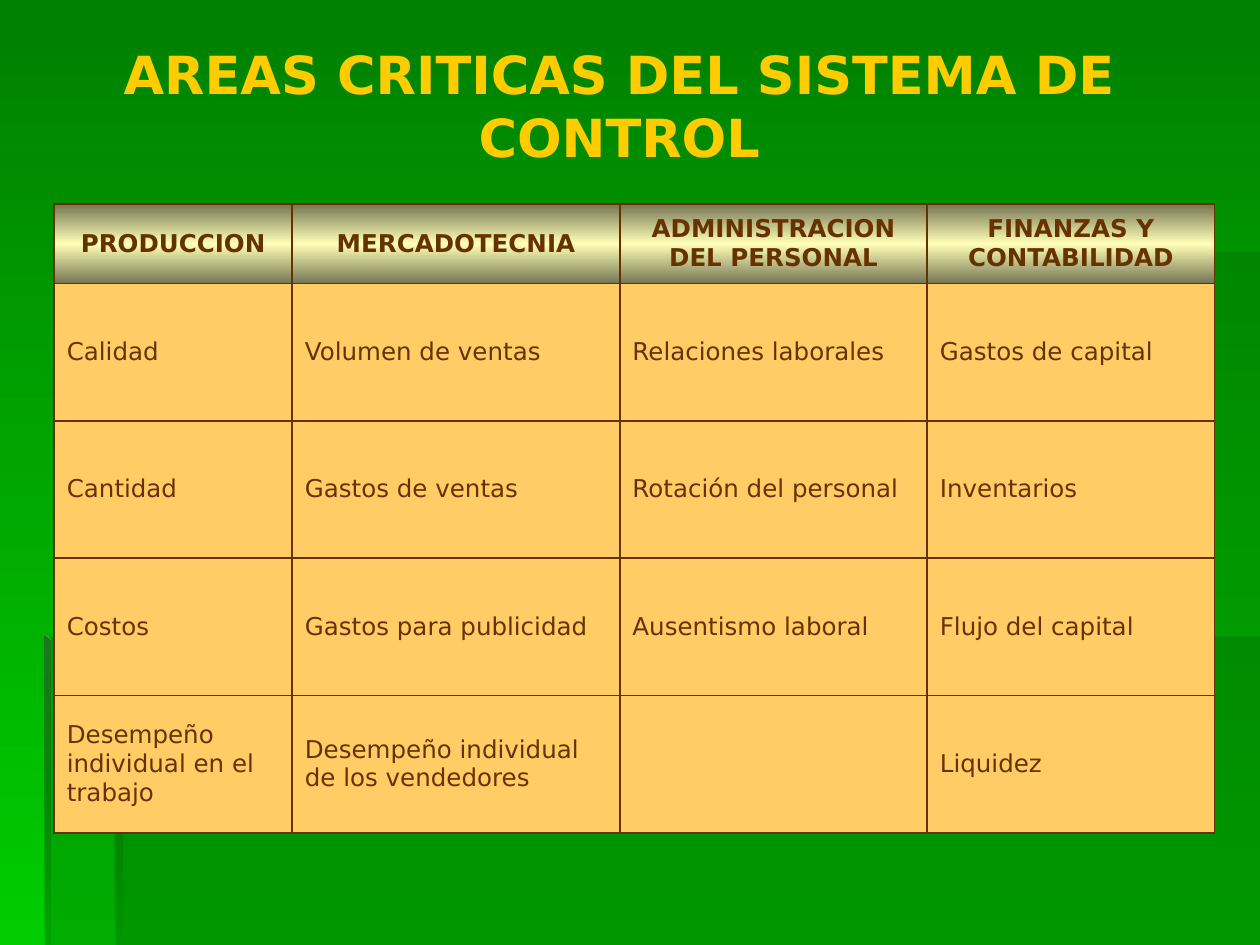
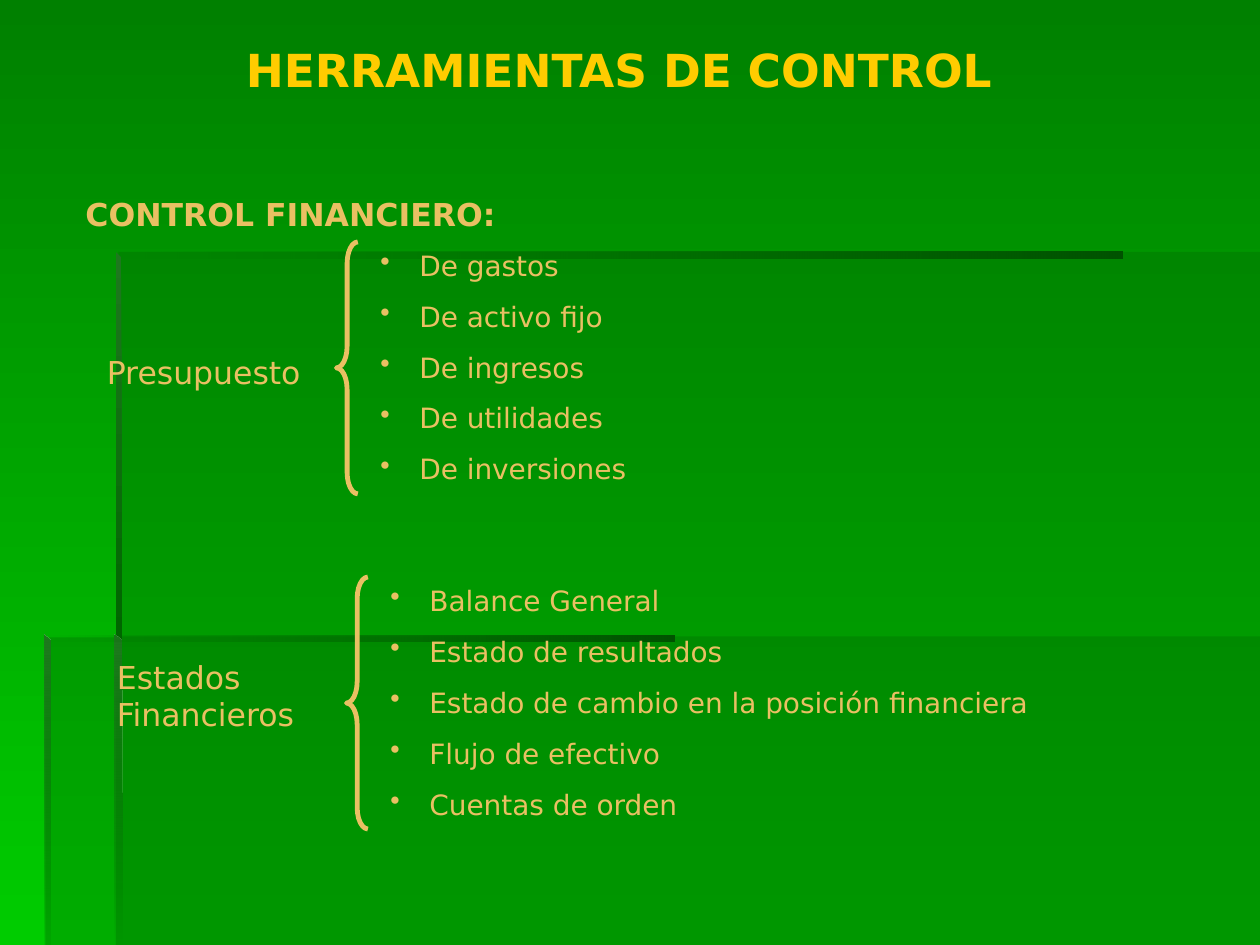
from lxml.etree import SubElement
from pptx import Presentation
from pptx.dml.color import RGBColor
from pptx.enum.shapes import MSO_SHAPE
from pptx.enum.text import MSO_ANCHOR, MSO_AUTO_SIZE, PP_ALIGN
from pptx.oxml.ns import qn
from pptx.util import Inches, Pt

FONT = "DejaVu Sans"
GREEN_TOP = RGBColor(0x00, 0x80, 0x00)
GREEN_BOTTOM = RGBColor(0x00, 0xCC, 0x00)
PANEL_GREEN = RGBColor(0x00, 0x66, 0x00)
SHADE_GREEN = RGBColor(0x00, 0x53, 0x00)
EDGE_GREEN = RGBColor(0x1E, 0x78, 0x1E)
TITLE_YELLOW = RGBColor(0xFF, 0xCC, 0x00)
SAND = RGBColor(0xE9, 0xC0, 0x63)
BROWN = RGBColor(0x66, 0x33, 0x00)
CELL_ORANGE = RGBColor(0xFF, 0xCC, 0x66)
HEADER_OLIVE = RGBColor(0x75, 0x75, 0x54)
HEADER_CREAM = RGBColor(0xFF, 0xFF, 0xB7)

# Backdrop outlines in inches
PANELS = [
    [(0.92, 5.05), (0.92, 7.5), (10, 7.5), (10, 5.05)],
    [(0.94, 5.06), (0.36, 5.06), (0.36, 7.5), (10, 7.5), (10, 2), (0.94, 2)],
]
# Each edge: outline, first colour, opacity of the last stop, angle
EDGES = [
    ([(0.92, 2), (0.92, 2.05), (8.91, 2.05), (8.91, 2)], SHADE_GREEN, 0, 180),
    ([(0.92, 2), (0.92, 5.1), (0.97, 5.1), (0.96, 2.04)], EDGE_GREEN, 100, 90),
    ([(0.91, 7.5), (0.97, 7.5), (0.96, 5.08), (0.91, 5.04)], EDGE_GREEN, 0, 90),
    ([(0.35, 5.04), (0.35, 5.09), (5.35, 5.09), (5.35, 5.04)], SHADE_GREEN, 0, 180),
    ([(0.35, 5.04), (0.35, 7.5), (0.4, 7.5), (0.4, 5.09)], EDGE_GREEN, 10, 90),
]

CRITICAL_AREAS = [
    ["PRODUCCION", "MERCADOTECNIA", "ADMINISTRACION DEL PERSONAL",
     "FINANZAS Y CONTABILIDAD"],
    ["Calidad", "Volumen de ventas", "Relaciones laborales", "Gastos de capital"],
    ["Cantidad", "Gastos de ventas", "Rotación del personal", "Inventarios"],
    ["Costos", "Gastos para publicidad", "Ausentismo laboral", "Flujo del capital"],
    ["Desempeño individual en el trabajo", "Desempeño individual de los vendedores",
     "", "Liquidez"],
]
AREA_WIDTHS = [1.89, 2.6, 2.44, 2.28]
HEADER_HEIGHT, ROW_HEIGHT = 0.63, 1.09

BUDGETS = ["De gastos", "De activo fijo", "De ingresos", "De utilidades",
           "De inversiones"]
STATEMENTS = ["Balance General", "Estado de resultados",
              "Estado de cambio en la posición financiera", "Flujo de efectivo",
              "Cuentas de orden"]


# Fills and text
def add_color(parent, color, opacity=100):
    srgb = SubElement(parent, qn("a:srgbClr"), val=str(color))
    if opacity < 100:
        SubElement(srgb, qn("a:alpha"), val=str(opacity * 1000))


def fill_gradient(fill, properties, stops, angle=90):
    """Fill with (position, colour, opacity) stops; the angle runs clockwise."""
    fill.background()
    gradient = properties.find(qn("a:noFill"))
    gradient.tag = qn("a:gradFill")
    stop_list = SubElement(gradient, qn("a:gsLst"))
    for position, color, opacity in stops:
        stop = SubElement(stop_list, qn("a:gs"), pos=str(position * 1000))
        add_color(stop, color, opacity)
    SubElement(gradient, qn("a:lin"), ang=str(angle * 60000), scaled="0")


def write(paragraph, text, size, color, bold=False, align=PP_ALIGN.LEFT, before=0):
    paragraph.alignment = align
    paragraph.space_before = Pt(before)
    run = paragraph.add_run()
    run.text = text
    run.font.name = FONT
    run.font.size = Pt(size)
    run.font.bold = bold
    run.font.color.rgb = color


def add_bullet(paragraph):
    properties = paragraph._p.get_or_add_pPr()
    properties.set("marL", str(Inches(0.31)))
    properties.set("indent", str(-Inches(0.31)))
    add_color(SubElement(properties, qn("a:buClr")), SAND)
    SubElement(properties, qn("a:buChar"), char="•")


def add_text(slide, box, lines, size, bold=False, bulleted=False):
    frame = slide.shapes.add_textbox(*map(Inches, box)).text_frame
    frame.word_wrap = True
    frame.auto_size = MSO_AUTO_SIZE.SHAPE_TO_FIT_TEXT
    for index, line in enumerate(lines):
        paragraph = frame.add_paragraph() if index else frame.paragraphs[0]
        write(paragraph, line, size, SAND, bold, before=size * 0.62)
        if bulleted:
            add_bullet(paragraph)


# Shared backdrop
def add_outline(slide, points):
    start, *others = [(Inches(x), Inches(y)) for x, y in points]
    builder = slide.shapes.build_freeform(*start)
    builder.add_line_segments(others, close=True)
    outline = builder.convert_to_shape()
    outline.shadow.inherit = False
    outline.line.fill.background()
    return outline


def build_backdrop(master, layout, slide):
    """Draw the backdrop on a slide, then hand it to the layout all slides use."""
    fill_gradient(master.background.fill, master.element.find(".//" + qn("p:bgPr")),
                  [(0, GREEN_TOP, 100), (100, GREEN_BOTTOM, 100)])
    pieces = []
    for points in PANELS:
        panel = add_outline(slide, points)
        panel.fill.solid()
        panel.fill.fore_color.rgb = PANEL_GREEN
        tint = panel.element.spPr.find(qn("a:solidFill"))[0]
        SubElement(tint, qn("a:alpha"), val="30000")
        pieces.append(panel)
    for points, color, opacity, angle in EDGES:
        edge = add_outline(slide, points)
        fill_gradient(edge.fill, edge.element.spPr,
                      [(0, color, 100), (100, PANEL_GREEN, opacity)], angle)
        pieces.append(edge)
    for number, piece in enumerate(pieces, start=101):
        piece.element.nvSpPr.cNvPr.set("id", str(number))
        layout.shapes.element.append(piece.element)


def set_title(slide, text, size, height):
    title = slide.shapes.title
    title.left, title.top = Inches(0.27), Inches(0.28)
    title.width, title.height = Inches(9.29), Inches(height)
    frame = title.text_frame
    frame.word_wrap = True
    frame.vertical_anchor = MSO_ANCHOR.TOP
    frame.auto_size = MSO_AUTO_SIZE.SHAPE_TO_FIT_TEXT
    write(frame.paragraphs[0], text, size, TITLE_YELLOW, True, PP_ALIGN.CENTER,
          size * 0.62)


# Table of critical areas
def format_cell(cell, text, is_header):
    cell.vertical_anchor = MSO_ANCHOR.MIDDLE
    properties = cell._tc.get_or_add_tcPr()
    for side in ("lnL", "lnR", "lnT", "lnB"):
        border = SubElement(properties, qn("a:" + side), w=str(Pt(1.08)))
        add_color(SubElement(border, qn("a:solidFill")), BROWN)
    if is_header:
        fill_gradient(cell.fill, properties,
                      [(0, HEADER_OLIVE, 100), (50, HEADER_CREAM, 100),
                       (100, HEADER_OLIVE, 100)])
    else:
        cell.fill.solid()
        cell.fill.fore_color.rgb = CELL_ORANGE
    if text:
        align = PP_ALIGN.CENTER if is_header else PP_ALIGN.LEFT
        write(cell.text_frame.paragraphs[0], text, 14, BROWN, is_header, align, 3.5)


def add_areas_table(slide, left, top):
    heights = [HEADER_HEIGHT] + [ROW_HEIGHT] * (len(CRITICAL_AREAS) - 1)
    areas = slide.shapes.add_table(
        len(heights), len(AREA_WIDTHS), Inches(left), Inches(top),
        Inches(sum(AREA_WIDTHS)), Inches(sum(heights))).table
    areas.horz_banding = False
    for column, width in zip(areas.columns, AREA_WIDTHS):
        column.width = Inches(width)
    for index, (row, height) in enumerate(zip(areas.rows, heights)):
        row.height = Inches(height)
        for cell, text in zip(row.cells, CRITICAL_AREAS[index]):
            format_cell(cell, text, index == 0)


# Braced group: label, brace and its bulleted items
def add_braced_group(slide, left, top, label, label_offset, label_height, items):
    add_text(slide, (left, top + label_offset, 1.83, label_height), [label], 18)
    brace = slide.shapes.add_shape(MSO_SHAPE.LEFT_BRACE, Inches(left + 1.92),
                                   Inches(top), Inches(0.17), Inches(2))
    brace.adjustments[0] = 1
    brace.adjustments[1] = 0.5
    brace.shadow.inherit = False
    brace.fill.background()
    brace.line.color.rgb = SAND
    brace.line.width = Pt(2.75)
    add_text(slide, (left + 2.17, top, 6.67, 1.99), items, 16, bulleted=True)


def build_areas_slide(slide):
    set_title(slide, "AREAS CRITICAS DEL SISTEMA DE CONTROL", 30, 0.6)
    add_areas_table(slide, 0.43, 1.62)


def build_tools_slide(slide):
    set_title(slide, "HERRAMIENTAS DE CONTROL", 26, 0.54)
    add_text(slide, (0.58, 1.5, 9.17, 0.4), ["CONTROL FINANCIERO:"], 18, bold=True)
    add_braced_group(slide, 0.75, 1.92, "Presupuesto", 0.83, 0.4, BUDGETS)
    add_braced_group(slide, 0.83, 4.58, "Estados Financieros", 0.59, 0.7, STATEMENTS)


def main():
    prs = Presentation()
    prs.slide_width, prs.slide_height = Inches(10), Inches(7.5)
    title_only = prs.slide_layouts[5]
    areas_slide = prs.slides.add_slide(title_only)
    build_backdrop(prs.slide_master, title_only, areas_slide)
    build_areas_slide(areas_slide)
    build_tools_slide(prs.slides.add_slide(title_only))
    prs.save("out.pptx")


if __name__ == "__main__":
    main()
